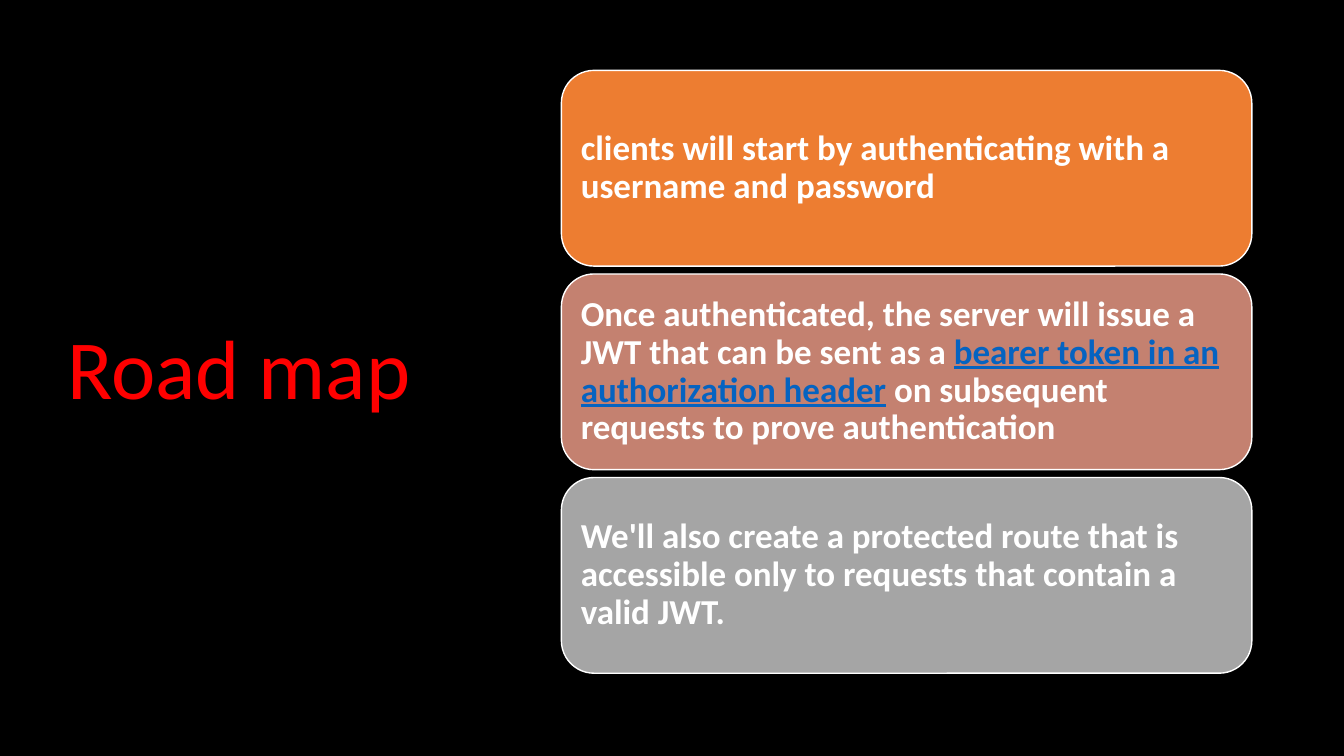
from dataclasses import dataclass

import pptx
import pptx.dml.color
import pptx.enum.shapes
import pptx.enum.text
import pptx.util

Pt = pptx.util.Pt

COLORS = {
    "background": "000000",
    "title": "FF0000",
    "text": "FFFFFF",
    "link": "0563C1",
    "login": "ED7D31",
    "token": "C48170",
    "route": "A5A5A5",
}
FONT = "Calibri"

# Step cards: one column, equal pitch
STEP_LEFT, STEP_TOP = 401, 50.3
STEP_WIDTH, STEP_HEIGHT = 493.2, 139.8
STEP_PITCH = 145.4
STEP_INSET = 7.2


@dataclass(frozen=True)
class Phrase:
    text: str
    linked: bool = False


@dataclass(frozen=True)
class Step:
    color: str
    phrases: tuple[Phrase, ...]


STEPS = (
    Step("login", (
        Phrase("clients will start by authenticating with a username and password"),
    )),
    Step("token", (
        Phrase("Once authenticated, the server will issue a JWT that can be sent as a "),
        Phrase("bearer token in an authorization header", linked=True),
        Phrase(" on subsequent requests to prove authentication"),
    )),
    Step("route", (
        Phrase("We'll also create a protected route that is accessible only to "
               "requests that contain a valid JWT."),
    )),
)


def rgb(name: str) -> pptx.dml.color.RGBColor:
    return pptx.dml.color.RGBColor.from_string(COLORS[name])


def prepare_frame(frame: pptx.text.text.TextFrame, size: float):
    """Set up a wrapped, middle-anchored frame and return its paragraph."""
    frame.word_wrap = True
    frame.vertical_anchor = pptx.enum.text.MSO_ANCHOR.MIDDLE
    paragraph = frame.paragraphs[0]
    paragraph.alignment = pptx.enum.text.PP_ALIGN.LEFT
    paragraph.line_spacing = 0.9
    paragraph.font.name = FONT
    paragraph.font.size = Pt(size)
    return paragraph


def draw_title(slide: pptx.slide.Slide, text: str) -> None:
    title = slide.shapes.add_textbox(Pt(41), Pt(49), Pt(299.5), Pt(433.4))
    paragraph = prepare_frame(title.text_frame, 60)
    paragraph.font.color.rgb = rgb("title")
    paragraph.add_run().text = text


def draw_step(slide: pptx.slide.Slide, step: Step, top: float) -> None:
    card = slide.shapes.add_shape(
        pptx.enum.shapes.MSO_SHAPE.ROUNDED_RECTANGLE,
        Pt(STEP_LEFT), Pt(top), Pt(STEP_WIDTH), Pt(STEP_HEIGHT))
    card.shadow.inherit = False
    card.fill.solid()
    card.fill.fore_color.rgb = rgb(step.color)
    card.line.color.rgb = rgb("text")
    card.line.width = Pt(1)

    frame = card.text_frame
    frame.margin_left = frame.margin_right = Pt(STEP_INSET)
    frame.margin_top = frame.margin_bottom = Pt(STEP_INSET)
    paragraph = prepare_frame(frame, 25)
    paragraph.font.bold = True
    for phrase in step.phrases:
        run = paragraph.add_run()
        run.text = phrase.text
        run.font.color.rgb = rgb("link" if phrase.linked else "text")
        run.font.underline = phrase.linked


def main() -> None:
    presentation = pptx.Presentation()
    presentation.slide_width, presentation.slide_height = Pt(960), Pt(540)
    slide = presentation.slides.add_slide(presentation.slide_layouts[6])
    slide.background.fill.solid()
    slide.background.fill.fore_color.rgb = rgb("background")

    # Title on the left, steps on the right
    draw_title(slide, "Road map")
    for index, step in enumerate(STEPS):
        draw_step(slide, step, STEP_TOP + index * STEP_PITCH)

    presentation.save("out.pptx")


if __name__ == "__main__":
    main()
